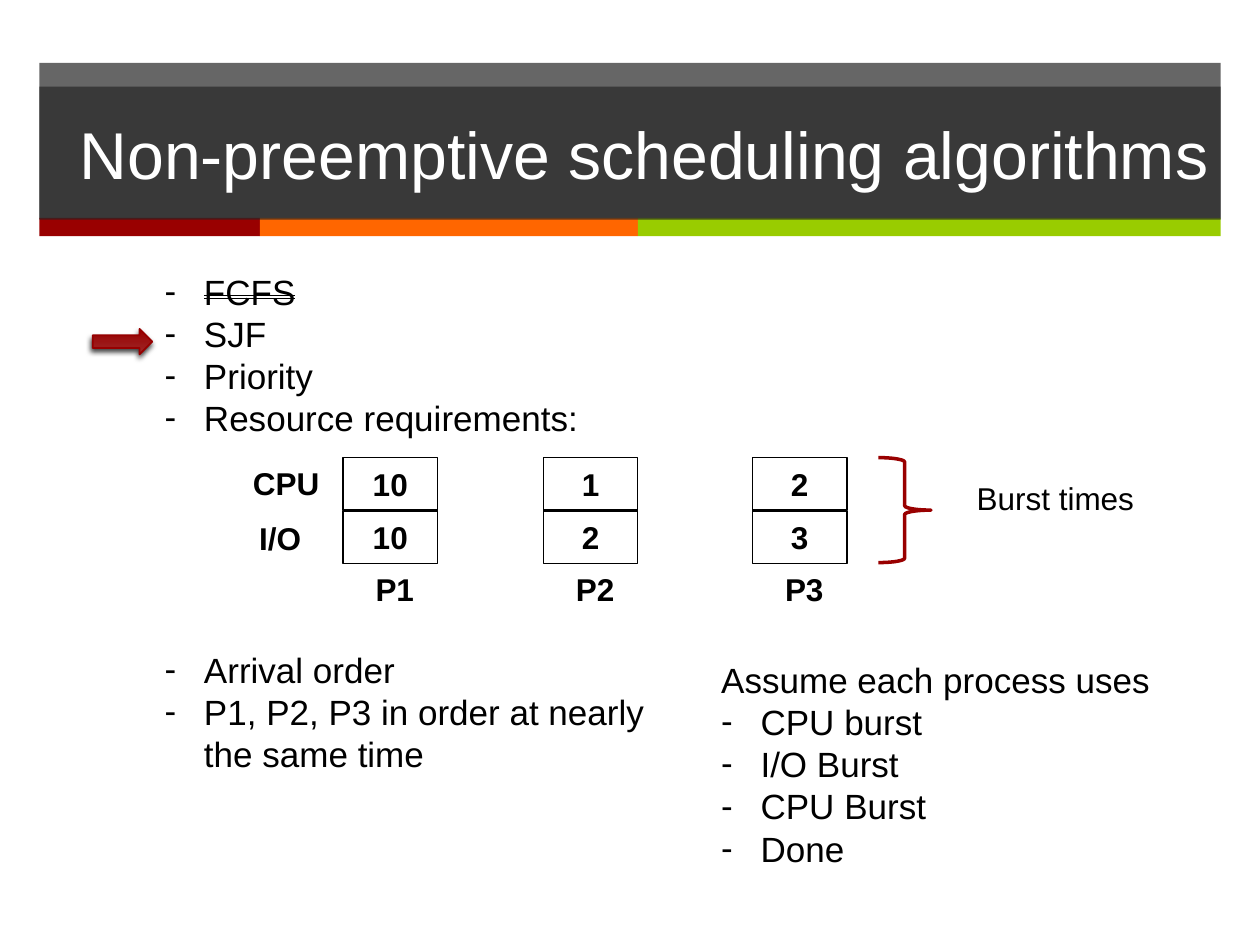
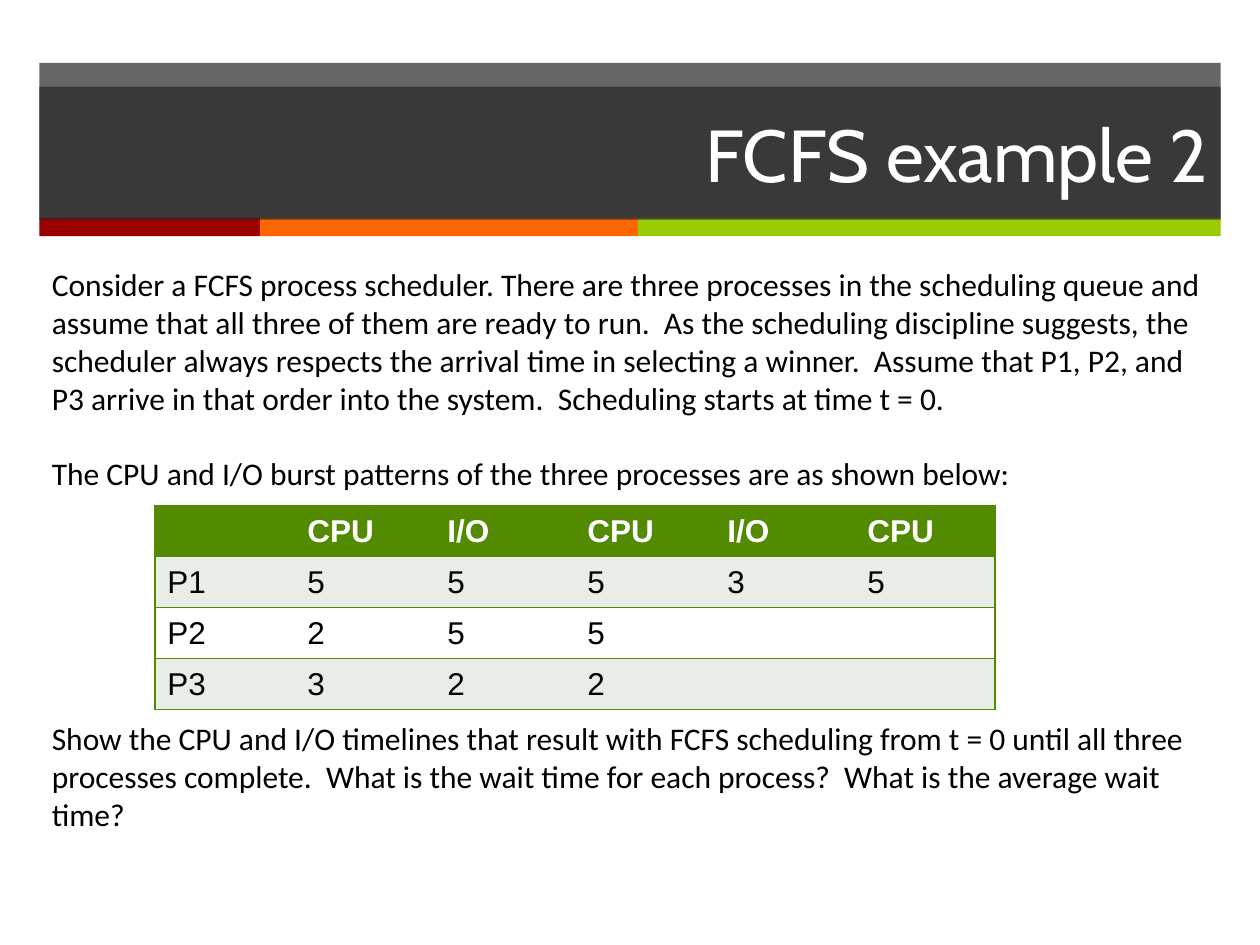
from lxml import etree
from pptx import Presentation
from pptx import util as u
from pptx.dml import color
from pptx.enum import shapes, text
from pptx.oxml import ns

Pt = u.Pt
COLORS = {
    "black": "000000", "white": "FFFFFF", "charcoal": "262626",
    "red": "990000", "red_light": "9D2828", "red_edge": "960000",
    "orange": "FF6600", "lime": "99CC00",
    "green": "528A02", "pale": "E9EDE7",
}
BAND_LEFT, BAND_WIDTH = 22.5, 675
LINE_FACTOR = 1.2
INDENT = 22.5


def rgb(name):
    return color.RGBColor.from_string(COLORS[name])


def add_xml(parent, tag, **attributes):
    return etree.SubElement(parent, ns.qn(tag), {k: str(v) for k, v in attributes.items()})


def add_preset(slide, kind, box, fill=None, line=None, weight=1, alpha=None):
    shape = slide.shapes.add_shape(kind, *map(Pt, box))
    shape.shadow.inherit = False
    if fill:
        shape.fill.solid()
        shape.fill.fore_color.rgb = rgb(fill)
    else:
        shape.fill.background()
    if line:
        shape.line.color.rgb = rgb(line)
        shape.line.width = Pt(weight)
    else:
        shape.line.fill.background()
    if alpha:
        tint = shape._element.spPr.find(".//" + ns.qn("a:srgbClr"))
        add_xml(tint, "a:alpha", val=alpha * 1000)
    return shape


def style_paragraph(paragraph, size, font="Arial", ink="black", bold=False,
                    align=text.PP_ALIGN.LEFT, fixed=True):
    paragraph.alignment = align
    if fixed:
        paragraph.line_spacing = Pt(size * LINE_FACTOR)
    for run in paragraph.runs:
        run.font.size = Pt(size)
        run.font.name = font
        run.font.bold = bold
        run.font.color.rgb = rgb(ink)


def add_text(slide, box, lines, size, wrap=True, **style):
    frame = slide.shapes.add_textbox(*map(Pt, box)).text_frame
    frame.word_wrap = wrap
    frame.text = "\n".join(lines)
    for paragraph in frame.paragraphs:
        style_paragraph(paragraph, size, **style)
    return frame


def add_dash(paragraph, margin=INDENT):
    properties = paragraph._p.get_or_add_pPr()
    properties.set("marL", str(Pt(margin)))
    properties.set("indent", str(-Pt(INDENT)))
    add_xml(properties, "a:buFont", typeface="Arial")
    add_xml(properties, "a:buChar", char="-")


def add_header(slide, title, size, font):
    rectangle = shapes.MSO_SHAPE.RECTANGLE
    add_preset(slide, rectangle, (BAND_LEFT, 36, BAND_WIDTH, 89), "charcoal", alpha=70)
    left = BAND_LEFT
    for hue, width in (("red", 126), ("orange", 216), ("lime", 333)):
        add_preset(slide, rectangle, (left, 124.5, width, 10.5), hue)
        left += width
    band = add_preset(slide, rectangle, (BAND_LEFT, 49.5, BAND_WIDTH, 76), "charcoal", alpha=70)
    frame = band.text_frame
    frame.word_wrap = True
    frame.vertical_anchor = text.MSO_ANCHOR.MIDDLE
    frame.text = title
    style_paragraph(frame.paragraphs[0], size, font, "white",
                    align=text.PP_ALIGN.RIGHT, fixed=False)


def add_algorithms(slide, box):
    size = 20
    frame = add_text(slide, box, [
        "FCFS", "SJF", "Priority", "Resource requirements:", "Arrival order",
        "P1, P2, P3 in order at nearly the same time"], size)
    done, *_, arrival, order = frame.paragraphs
    done.runs[0]._r.get_or_add_rPr().set("strike", "dblStrike")
    arrival.space_before = Pt(5 * size * LINE_FACTOR)
    order.level = 1
    for paragraph in frame.paragraphs:
        add_dash(paragraph, 58.5 if paragraph is order else INDENT)


def add_current_marker(slide, box):
    arrow = add_preset(slide, shapes.MSO_SHAPE.RIGHT_ARROW, box, line="red_edge")
    arrow.fill.gradient()
    arrow.fill.gradient_angle = 90
    for stop, hue in zip(arrow.fill.gradient_stops, ("red_light", "red")):
        stop.color.rgb = rgb(hue)
    effects = arrow._element.spPr.find(ns.qn("a:effectLst"))
    shadow = add_xml(effects, "a:outerShdw", blurRad=Pt(3), dist=Pt(2),
                     dir=110 * 60000, rotWithShape=0)
    tint = add_xml(shadow, "a:srgbClr", val=COLORS["black"])
    add_xml(tint, "a:alpha", val=75000)


def add_bursts(slide, left, top):
    cell_width, cell_height, pitch = 54, 30, 30.5
    add_text(slide, (left, top, 52.5, 29), ["CPU"], 18, wrap=False, bold=True)
    add_text(slide, (left + 3.5, top + 31.5, 43, 29), ["I/O"], 18, wrap=False, bold=True)
    processes = (("P1", 58.5, (10, 10)), ("P2", 173, (1, 2)), ("P3", 292.5, (2, 3)))
    for process, offset, bursts in processes:
        x = left + offset
        for row, burst in enumerate(bursts):
            cell = add_preset(slide, shapes.MSO_SHAPE.RECTANGLE,
                              (x, top + row * pitch, cell_width, cell_height),
                              line="black", weight=0.75)
            cell.text_frame.vertical_anchor = text.MSO_ANCHOR.MIDDLE
            cell.text_frame.text = str(burst)
            style_paragraph(cell.text_frame.paragraphs[0], 18, bold=True,
                            align=text.PP_ALIGN.CENTER)
        add_text(slide, (x + 11.5, top + 60.5, 37, 29), [process], 18, wrap=False, bold=True)
    add_preset(slide, shapes.MSO_SHAPE.RIGHT_BRACE, (left + 364.5, top, 30, 60),
               line="red", weight=2)
    add_text(slide, (left + 413.5, top + 8.5, 122, 29), ["Burst times"], 18)


def add_assumptions(slide, box):
    frame = add_text(slide, box, ["Assume each process uses", "CPU burst", "I/O Burst",
                                  "CPU Burst", "Done"], 20)
    for paragraph in frame.paragraphs[1:]:
        add_dash(paragraph)


def add_exercise(slide, box):
    line_height = 18 * LINE_FACTOR
    frame = add_text(slide, box, [
        "Consider a FCFS process scheduler. There are three processes in the scheduling "
        "queue and assume that all three of them are ready to run.  As the scheduling "
        "discipline suggests, the scheduler always respects the arrival time in selecting "
        "a winner.  Assume that P1, P2, and P3 arrive in that order into the system.  "
        "Scheduling starts at time t = 0.",
        "The CPU and I/O burst patterns of the three processes are as shown below:",
        "Show the CPU and I/O timelines that result with FCFS scheduling from t = 0 until "
        "all three processes complete.  What is the wait time for each process?  What is "
        "the average wait time?"], 18, font="Calibri")
    frame.margin_top = Pt(3.6 + line_height)
    _, patterns, task = frame.paragraphs
    patterns.space_before = Pt(line_height)
    task.space_before = Pt(6 * line_height)


def set_borders(cell, sides):
    properties = cell._tc.get_or_add_tcPr()
    for side in "LRTB":
        border = add_xml(properties, "a:ln" + side, w=Pt(1))
        if side in sides:
            add_xml(add_xml(border, "a:solidFill"), "a:srgbClr", val=COLORS["green"])
        else:
            add_xml(border, "a:noFill")


def add_burst_table(slide, box):
    rows = (
        ("", "CPU", "I/O", "CPU", "I/O", "CPU"),
        ("P1", "5", "5", "5", "3", "5"),
        ("P2", "2", "5", "5", "", ""),
        ("P3", "3", "2", "2", "", ""),
    )
    last = len(rows[0]) - 1
    table = slide.shapes.add_table(len(rows), last + 1, *map(Pt, box)).table
    for r, values in enumerate(rows):
        fill = "green" if r == 0 else "pale" if r % 2 else "white"
        for c, value in enumerate(values):
            cell = table.cell(r, c)
            set_borders(cell, "TB" + "L" * (c == 0) + "R" * (c == last))
            cell.fill.solid()
            cell.fill.fore_color.rgb = rgb(fill)
            cell.text = value
            style_paragraph(cell.text_frame.paragraphs[0], 18,
                            ink="black" if r else "white", bold=r == 0)


def build_algorithms_slide(slide):
    add_header(slide, "Non-preemptive scheduling algorithms", 37.8, "Arial")
    add_bursts(slide, 137.5, 261.5)
    add_algorithms(slide, (87, 151, 310, 298))
    add_assumptions(slide, (405, 373, 276, 128))
    add_current_marker(slide, (53, 188, 34, 14.5))


def build_example_slide(slide):
    add_exercise(slide, (BAND_LEFT, 126.5, BAND_WIDTH, 400))
    add_header(slide, "FCFS example 2", 42, "Cabin")
    add_burst_table(slide, (88.5, 288.75, 480, 116.8))


def main():
    deck = Presentation()
    deck.slide_width, deck.slide_height = Pt(720), Pt(540)
    for build in (build_algorithms_slide, build_example_slide):
        build(deck.slides.add_slide(deck.slide_layouts[6]))
    deck.save("out.pptx")


if __name__ == "__main__":
    main()
